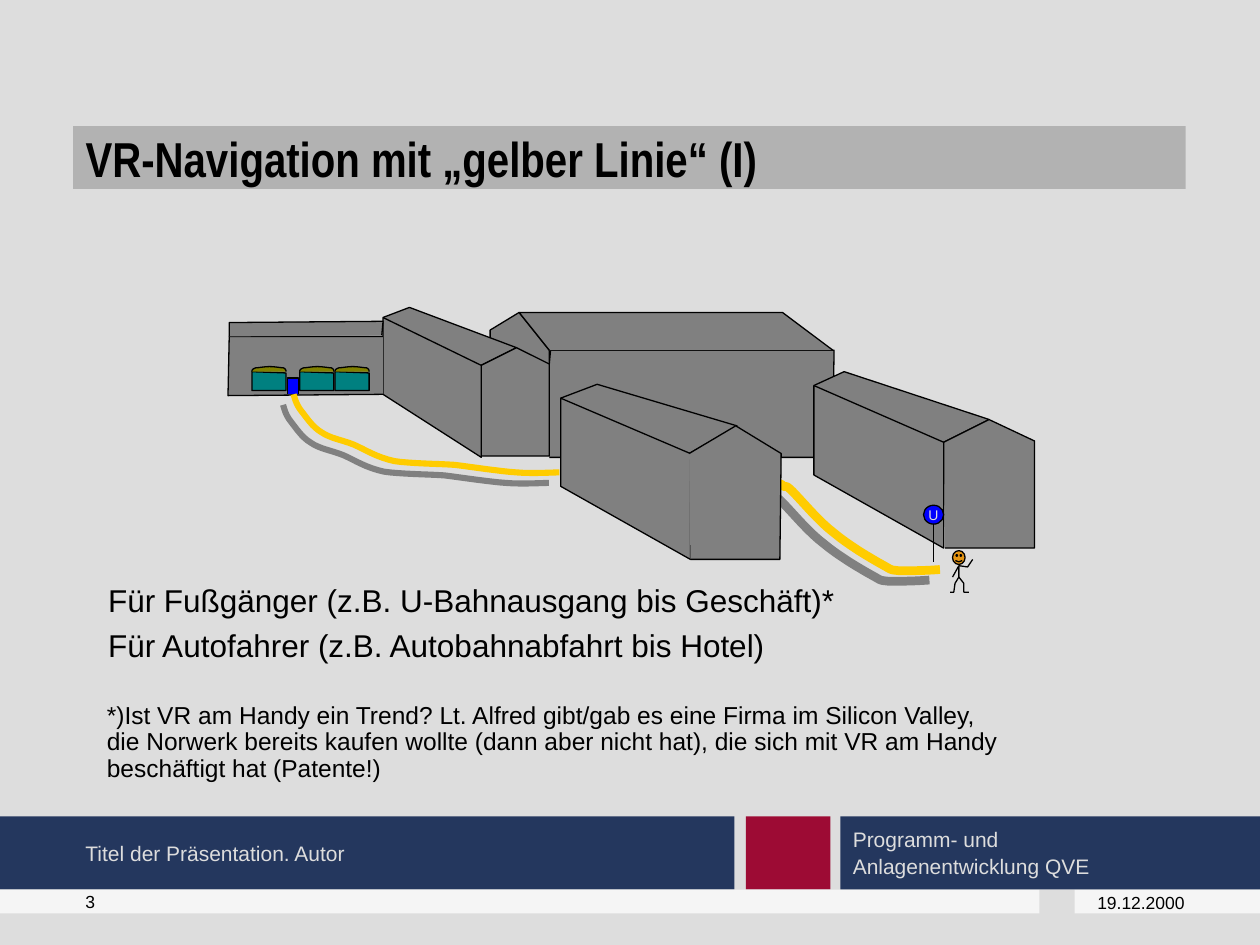
"""Build a slide on navigating along a yellow line through a virtual town."""
from copy import deepcopy
from dataclasses import dataclass
from typing import Optional

from lxml import etree
from pptx import Presentation
from pptx.dml.color import RGBColor
from pptx.enum import shapes, text
from pptx.oxml.ns import qn
from pptx.util import Inches, Pt

BLACK, PALE, GRAY, BLUE = "000000", "DDDDDD", "808080", "0000FF"
NAVY, YELLOW, WHITE = "24375E", "FFCC00", "F5F5F5"
KIND = shapes.MSO_SHAPE


@dataclass
class Outline:
    points: list
    fill: Optional[str] = GRAY
    closed: bool = False
    line: str = BLACK
    width: float = 0.75


@dataclass
class Box:
    left: float
    top: float
    width: float
    height: float
    fill: Optional[str] = None
    line: Optional[str] = None
    kind: int = KIND.RECTANGLE


@dataclass
class Label:
    box: Box
    lines: list
    style: dict


BANDS = [
    Box(5.92, 6.48, 0.67, 0.58, "9D0B34"),
    Box(0, 6.48, 5.83, 0.58, NAVY),
    Box(0, 7.06, 8.25, 0.19, WHITE),
    Box(8.53, 7.06, 1.47, 0.19, WHITE),
]
NEAR_ROUTE = [
    (7.46, 4.52), (7.33, 4.53), (7.21, 4.53), (7.14, 4.53), (7.06, 4.52), (7.09, 4.53),
    (7, 4.48), (6.91, 4.43), (6.74, 4.33), (6.62, 4.23), (6.5, 4.14), (6.36, 3.97),
    (6.29, 3.9), (6.23, 3.84), (6.24, 3.87), (6.22, 3.86), (6.21, 3.85), (6.2, 3.84), (6.19, 3.84),
]
FAR_ROUTE = [
    (4.44, 3.75), (4.38, 3.75), (4.23, 3.76), (4.1, 3.75), (3.96, 3.74), (3.77, 3.71),
    (3.61, 3.69), (3.45, 3.68), (3.26, 3.68), (3.13, 3.66), (2.99, 3.63), (2.9, 3.57),
    (2.81, 3.53), (2.71, 3.49), (2.62, 3.48), (2.55, 3.43), (2.48, 3.39), (2.43, 3.31),
    (2.39, 3.26), (2.35, 3.21), (2.34, 3.16), (2.33, 3.13),
]
AWNING = [
    (0, 2.95), (0, 2.94), (0, 2.93), (0.03, 2.92), (0.05, 2.92), (0.1, 2.91), (0.14, 2.91),
    (0.18, 2.91), (0.23, 2.92), (0.25, 2.92), (0.27, 2.93), (0.27, 2.94), (0.27, 2.95),
]
BUILDINGS = [
    Outline([(4.36, 3.63), (6.61, 3.63), (6.62, 2.78), (4.37, 2.78), (4.36, 2.89)]),
    Outline([(7.49, 3.51), (7.85, 3.33), (6.7, 2.95), (6.46, 3.06)]),
    Outline([(7.49, 3.51), (7.85, 3.33), (8.21, 3.5), (8.21, 4.35), (7.5, 4.35)]),
    Outline([(6.46, 3.06), (7.49, 3.51), (7.49, 4.35), (6.46, 3.77)], closed=True),
    Outline([(5.47, 3.6), (5.85, 3.38), (4.74, 3.05), (4.45, 3.16)]),
    Outline([(4.45, 3.16), (5.48, 3.6), (5.48, 4.44), (4.45, 3.86)], closed=True),
    Outline([(4.36, 2.9), (4.36, 2.78), (4.12, 2.48), (3.89, 2.62), (3.89, 2.71)]),
    Outline([(4.36, 2.78), (4.12, 2.48), (6.21, 2.48), (6.61, 2.78)]),
    Outline([(3.82, 2.9), (4.1, 2.76), (3.25, 2.44), (3.04, 2.52)]),
    Outline([(3.82, 2.9), (4.1, 2.76), (4.36, 2.89), (4.36, 3.62), (3.82, 3.62)]),
    Outline([(3.04, 2.52), (3.82, 2.9), (3.82, 3.63), (3.04, 3.13)], closed=True),
    Outline([(3.04, 2.67), (1.82, 2.67), (1.81, 3.14), (3.04, 3.13)]),
    Outline([(3.03, 2.66), (3.04, 2.55), (1.82, 2.56), (1.82, 2.67)]),
    Outline([(5.47, 3.6), (5.84, 3.38), (6.2, 3.6), (6.19, 4.44), (5.48, 4.44)]),
    Outline([(2.28, 3.13), (2.28, 3), (2.37, 3), (2.37, 3.13)], BLUE),
]
LIMBS = [
    Outline([(7.61, 4.49), (7.61, 4.58), (7.65, 4.63), (7.65, 4.7), (7.69, 4.7)], None),
    Outline([(7.61, 4.49), (7.61, 4.58), (7.58, 4.63), (7.57, 4.7), (7.54, 4.7)], None),
    Outline([(7.61, 4.49), (7.68, 4.5), (7.72, 4.44)], None),
]
MIDDLE = {"anchor": text.MSO_ANCHOR.MIDDLE}
CENTER = {"align": text.PP_ALIGN.CENTER, **MIDDLE}
LABELS = [
    Label(Box(6.67, 6.48, 3.33, 0.58, NAVY), ["Programm- und", "Anlagenentwicklung QVE"],
          {"size": 12, "color": PALE, "wrap": False, "before": 1, **MIDDLE}),
    Label(Box(0.76, 4.56, 5.96, 0.4), ["Für Fußgänger (z.B. U-Bahnausgang bis Geschäft)*"],
          {"size": 18, "wrap": False}),
    Label(Box(0.76, 4.92, 5.44, 0.4), ["Für Autofahrer (z.B. Autobahnabfahrt bis Hotel)"],
          {"size": 18, "wrap": False}),
    Label(Box(0.75, 5.53, 8.73, 0.97),
          ["*)Ist VR am Handy ein Trend? Lt. Alfred gibt/gab es eine Firma im Silicon Valley,\n"
           "die Norwerk bereits kaufen wollte (dann aber nicht hat), die sich mit VR am Handy\n"
           "beschäftigt hat (Patente!)"], {"size": 14, "before": 3.5, "spacing": 0.9}),
    Label(Box(0.58, 6.48, 5.25, 0.58), ["Titel der Präsentation. Autor"],
          {"size": 12, "color": PALE, **MIDDLE}),
    Label(Box(0.58, 7.06, 0.58, 0.19), ["3"], {"size": 10, **MIDDLE}),
    Label(Box(8.53, 7.08, 1.05, 0.17), ["19.12.2000"], {"size": 10, **CENTER}),
]


def rgb(value: str) -> RGBColor:
    return RGBColor.from_string(value)


def paint(shape, fill: Optional[str], line: Optional[str], width: float = 0.75) -> None:
    if fill:
        shape.fill.solid()
        shape.fill.fore_color.rgb = rgb(fill)
    else:
        shape.fill.background()
    if line:
        shape.line.color.rgb = rgb(line)
        shape.line.width = Pt(width)
    else:
        shape.line.fill.background()


def write(shape, lines: list, *, size: float, color: str = BLACK, font: str = "Arial",
          bold: bool = False, align=text.PP_ALIGN.LEFT, anchor=text.MSO_ANCHOR.TOP,
          wrap: bool = True, before: float = 0, spacing: float = 1.0, inset: float = 0.05) -> None:
    frame = shape.text_frame
    frame.auto_size = text.MSO_AUTO_SIZE.NONE
    frame.word_wrap, frame.vertical_anchor = wrap, anchor
    frame.margin_left = frame.margin_right = Inches(0.1)
    frame.margin_top = frame.margin_bottom = Inches(inset)
    for index, line in enumerate(lines):
        paragraph = frame.add_paragraph() if index else frame.paragraphs[0]
        paragraph.text, paragraph.alignment = line, align
        paragraph.space_before, paragraph.line_spacing = Pt(before), spacing
        for run in paragraph.runs:
            run.font.name, run.font.size, run.font.bold = font, Pt(size), bold
            run.font.color.rgb = rgb(color)
        for line_break in paragraph._p.findall(qn("a:br")):
            line_break.append(deepcopy(paragraph.runs[0]._r.rPr))


def draw_box(slide, box: Box):
    shape = slide.shapes.add_shape(
        box.kind, Inches(box.left), Inches(box.top), Inches(box.width), Inches(box.height))
    shape.shadow.inherit = False
    paint(shape, box.fill, box.line)
    return shape


def draw_outline(slide, outline: Outline):
    start, *rest = [(Inches(x), Inches(y)) for x, y in outline.points]
    builder = slide.shapes.build_freeform(*start)
    builder.add_line_segments(rest, close=outline.closed)
    shape = builder.convert_to_shape()
    shape.shadow.inherit = False
    paint(shape, outline.fill, outline.line, outline.width)
    return shape


def curve(knots: list, steps: int = 8) -> list:
    """Return points along a chain of cubic Bézier segments."""
    points = [knots[0]]
    for index in range(0, len(knots) - 1, 3):
        segment = knots[index:index + 4]
        for step in range(1, steps + 1):
            t = step / steps
            weights = ((1 - t) ** 3, 3 * t * (1 - t) ** 2, 3 * t ** 2 * (1 - t), t ** 3)
            points.append(tuple(sum(w * knot[axis] for w, knot in zip(weights, segment))
                                for axis in (0, 1)))
    return points


def draw_route(slide, knots: list, width: float) -> None:
    shape = draw_outline(slide, Outline(curve(knots), None, line=YELLOW, width=width))
    effects = shape._element.spPr.find(qn("a:effectLst"))
    shadow = etree.SubElement(effects, qn("a:outerShdw"), dist=str(Pt(8.5)),
                              dir="8100000", algn="ctr", rotWithShape="0")
    etree.SubElement(shadow, qn("a:srgbClr"), val=GRAY)


def draw_stall(slide, left: float) -> None:
    right = left + 0.27
    draw_outline(slide, Outline(
        [(left, 2.95), (left, 3.1), (right, 3.1), (right, 2.96)], "008080", True))
    draw_outline(slide, Outline(curve([(left + x, y) for x, y in AWNING]), "808000"))


def draw_line(slide, *ends: float) -> None:
    line = slide.shapes.add_connector(shapes.MSO_CONNECTOR.STRAIGHT, *map(Inches, ends))
    line.line.color.rgb, line.line.width = rgb(BLACK), Pt(0.75)
    etree.SubElement(line._element.spPr, qn("a:effectLst"))


def main() -> None:
    presentation = Presentation()
    presentation.slide_width, presentation.slide_height = Inches(10), Inches(7.5)
    slide = presentation.slides.add_slide(presentation.slide_layouts[5])
    slide.background.fill.solid()
    slide.background.fill.fore_color.rgb = rgb(PALE)
    title = slide.shapes.title
    title.left, title.top, title.width, title.height = map(Inches, (0.58, 1, 8.83, 0.5))
    paint(title, "B2B2B2", None)
    write(title, ["VR-Navigation mit „gelber Linie“ (I)"], size=28, font="Arial Narrow",
          bold=True, inset=0, **MIDDLE)
    for band in BANDS:
        draw_box(slide, band)
    draw_route(slide, NEAR_ROUTE, 5)
    for building in BUILDINGS:
        draw_outline(slide, building)
    for left in (2, 2.38, 2.66):
        draw_stall(slide, left)
    draw_line(slide, 7.41, 4.46, 7.41, 4.14)
    sign = draw_box(slide, Box(7.33, 4.01, 0.16, 0.15, BLUE, BLACK, KIND.OVAL))
    write(sign, ["U"], size=8, color=PALE, wrap=False, **CENTER)
    draw_route(slide, FAR_ROUTE, 3.5)
    draw_box(slide, Box(7.56, 4.37, 0.1, 0.11, "E59513", BLACK, KIND.SMILEY_FACE))
    for limb in LIMBS:
        draw_outline(slide, limb)
    draw_line(slide, 7.61, 4.49, 7.56, 4.58)
    for label in LABELS:
        write(draw_box(slide, label.box), label.lines, **label.style)
    presentation.save("out.pptx")


if __name__ == "__main__":
    main()
